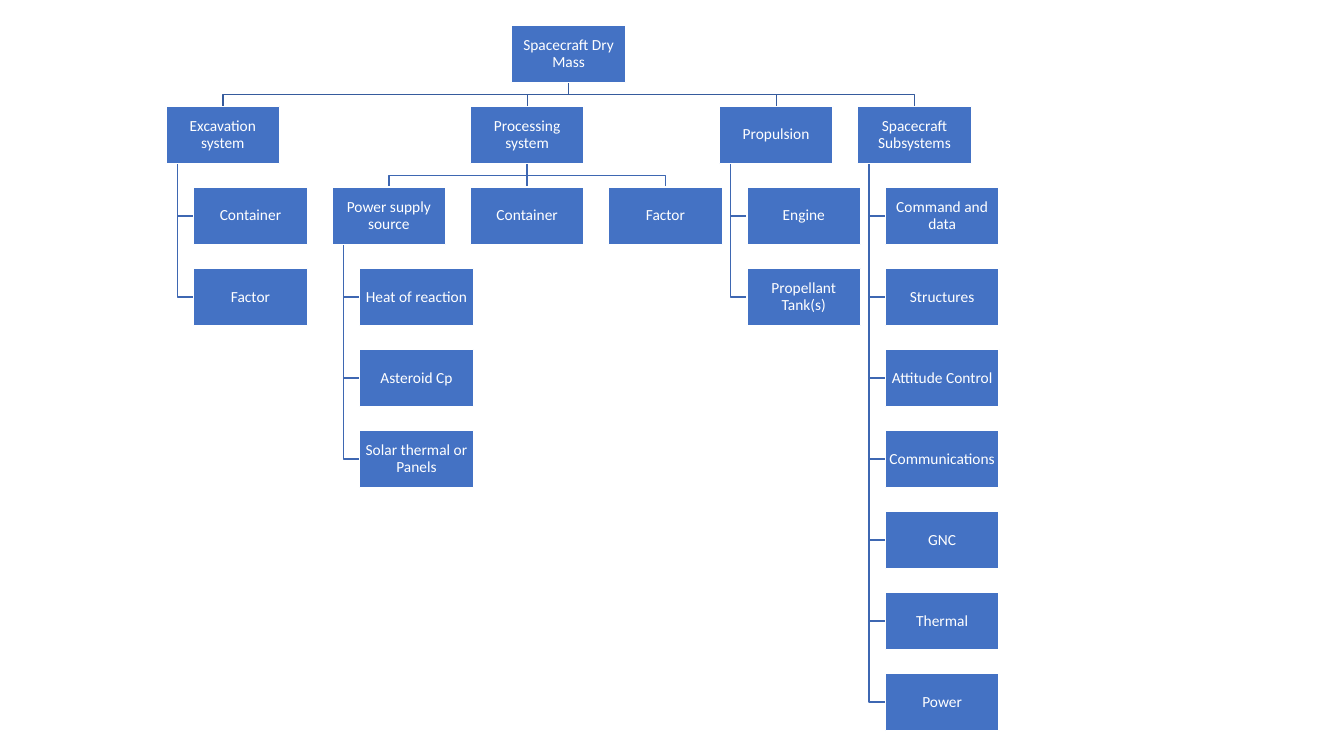
from dataclasses import dataclass

from lxml.etree import SubElement
from pptx import Presentation
from pptx.dml.color import RGBColor
from pptx.enum.shapes import MSO_CONNECTOR as Connector, MSO_SHAPE as Shape
from pptx.enum.text import MSO_ANCHOR as Anchor, PP_ALIGN as Align
from pptx.oxml.ns import qn
from pptx.util import Inches, Pt

COLORS = {"box": "4472C4", "text": "FFFFFF", "trunk": "365B9D", "branch": "3E67B2"}
LEFT, TOP = 1.92, 0.25
COLUMN, ROW = 6.86 / 5, 6.43 / 8
BOX_WIDTH, BOX_HEIGHT = 1.13, 0.57
INDENT = 0.2


@dataclass
class Unit:
    """A box of the breakdown, placed by column and row."""

    name: str
    column: float
    row: int
    children: tuple = ()
    hanging: bool = False

    @property
    def left(self):
        return LEFT + self.column * COLUMN

    @property
    def top(self):
        return TOP + self.row * ROW

    @property
    def center(self):
        return self.left + BOX_WIDTH / 2

    @property
    def middle(self):
        return self.top + BOX_HEIGHT / 2

    @property
    def bottom(self):
        return self.top + BOX_HEIGHT


def spread(name, row, children):
    """Centre a unit above a row of children."""
    column = (children[0].column + children[-1].column) / 2
    return Unit(name, column, row, children)


def hang(name, column, row, names):
    """Stack children below a unit, indented to its right."""
    children = tuple(Unit(child, column + INDENT, row + step)
                     for step, child in enumerate(names, 1))
    return Unit(name, column, row, children, hanging=True)


class Chart:
    """Draws the breakdown on one slide in a single style."""

    def __init__(self, slide):
        self.shapes = slide.shapes

    def color(self, name):
        return RGBColor.from_string(COLORS[name])

    def style_line(self, shape, name):
        shape.line.color.rgb = self.color(name)
        shape.line.width = Pt(1)

    def box(self, unit):
        shape = self.shapes.add_shape(Shape.RECTANGLE, Inches(unit.left), Inches(unit.top),
                                      Inches(BOX_WIDTH), Inches(BOX_HEIGHT))
        shape.shadow.inherit = False
        shape.fill.solid()
        shape.fill.fore_color.rgb = self.color("box")
        self.style_line(shape, "text")
        frame = shape.text_frame
        frame.word_wrap = True
        frame.vertical_anchor = Anchor.MIDDLE
        frame.margin_left = frame.margin_right = Inches(0.01)
        frame.margin_top = frame.margin_bottom = Inches(0.01)
        paragraph = frame.paragraphs[0]
        paragraph.text = unit.name
        paragraph.alignment = Align.CENTER
        paragraph.line_spacing = 0.9
        paragraph.font.name = "Calibri"
        paragraph.font.size = Pt(11)
        paragraph.font.color.rgb = self.color("text")

    def straight(self, start, end, color):
        lengths = [Inches(value) for value in (*start, *end)]
        connector = self.shapes.add_connector(Connector.STRAIGHT, *lengths)
        SubElement(connector._element.spPr, qn("a:effectLst"))
        self.style_line(connector, color)

    def elbow(self, points, color):
        start, *rest = [(Inches(x), Inches(y)) for x, y in points]
        builder = self.shapes.build_freeform(*start)
        builder.add_line_segments(rest, close=False)
        shape = builder.convert_to_shape()
        shape.shadow.inherit = False
        shape.fill.background()
        self.style_line(shape, color)

    def link(self, parent, child):
        color = "branch" if parent.row else "trunk"
        start, end = (parent.center, parent.bottom), (child.center, child.top)
        if parent.hanging:
            stem = parent.left + BOX_WIDTH / 10
            self.elbow([(stem, parent.bottom), (stem, child.middle),
                        (child.left, child.middle)], color)
        elif parent.column == child.column:
            self.straight(start, end, color)
        else:
            bend = (parent.bottom + child.top) / 2
            self.elbow([start, (parent.center, bend), (child.center, bend), end], color)

    def links(self, unit):
        for child in reversed(unit.children):
            self.link(unit, child)
            self.links(child)

    def boxes(self, unit):
        self.box(unit)
        for child in unit.children:
            self.boxes(child)


processing = spread("Processing system", 1, (
    hang("Power supply source", 1, 2,
         ["Heat of reaction", "Asteroid Cp", "Solar thermal or Panels"]),
    Unit("Container", 2, 2),
    Unit("Factor", 3, 2),
))
dry_mass = spread("Spacecraft Dry Mass", 0, (
    hang("Excavation system", 0 - INDENT, 1, ["Container", "Factor"]),
    processing,
    hang("Propulsion", 4 - INDENT, 1, ["Engine", "Propellant Tank(s)"]),
    hang("Spacecraft Subsystems", 5 - INDENT, 1,
         ["Command and data", "Structures", "Attitude Control", "Communications",
          "GNC", "Thermal", "Power"]),
))

presentation = Presentation()
presentation.slide_width = Inches(13.33)
presentation.slide_height = Inches(7.5)
chart = Chart(presentation.slides.add_slide(presentation.slide_layouts[6]))
chart.links(dry_mass)
chart.boxes(dry_mass)
presentation.save("out.pptx")
